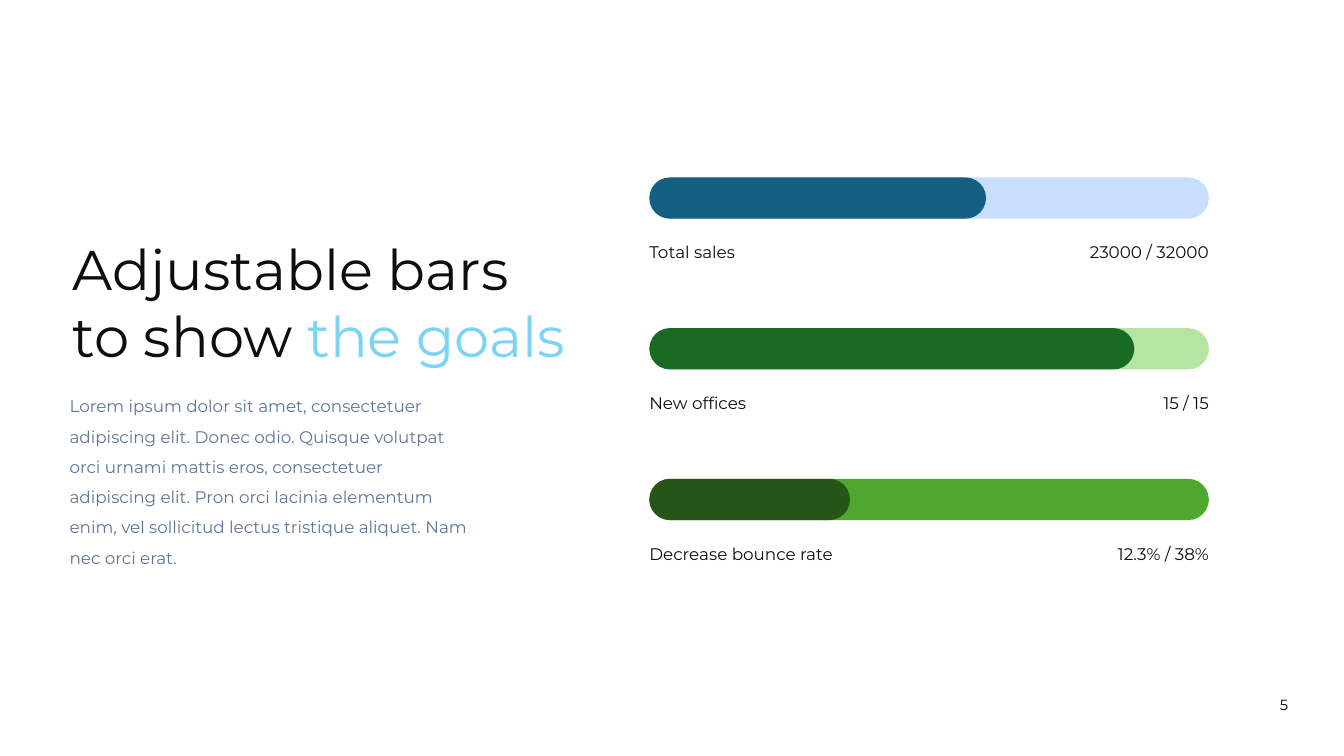
from pptx import Presentation
from pptx.dml.color import RGBColor
from pptx.enum.shapes import MSO_SHAPE
from pptx.enum.text import MSO_ANCHOR, MSO_AUTO_SIZE, PP_ALIGN
from pptx.util import Inches, Pt
from lxml.etree import SubElement
from pptx.oxml.ns import qn

COLORS = {
    "ink": "0D0D0D", "accent": "7BD4F6", "body": "5D7699", "number": "000000",
    "sales track": "C7DEFF", "sales fill": "156082",
    "offices track": "B4E5A2", "offices fill": "196B24",
    "bounce track": "4EA72E", "bounce fill": "275417",
}


def set_frame(box, left, top, width, height, inset=0, anchor=MSO_ANCHOR.TOP):
    box.left, box.top = Inches(left), Inches(top)
    box.width, box.height = Inches(width), Inches(height)
    frame = box.text_frame
    frame.word_wrap = True
    frame.auto_size = MSO_AUTO_SIZE.NONE
    frame.vertical_anchor = anchor
    frame.margin_left = frame.margin_right = Inches(inset)
    frame.margin_top = frame.margin_bottom = Inches(inset)
    return frame


def style(para, size, color, align=PP_ALIGN.LEFT, spacing=1.0):
    para.alignment = align
    para.line_spacing = spacing
    para.space_before = Pt(0)
    para.font.name = "Montserrat"
    para.font.size = Pt(size)
    para.font.color.rgb = RGBColor.from_string(COLORS[color])


deck = Presentation()
deck.slide_width, deck.slide_height = Inches(13.33), Inches(7.5)
page = deck.slides.add_slide(deck.slide_layouts.get_by_name("Title and Content"))

# Title
frame = set_frame(page.shapes.title, 0.69, 2.29, 5.55, 1.4, 0.03, MSO_ANCHOR.MIDDLE)
frame.text = "Adjustable bars\nto show "
for para in frame.paragraphs:
    style(para, 40, "ink")
span = frame.paragraphs[1].add_run()
span.text = "the goals"
span.font.color.rgb = RGBColor.from_string(COLORS["accent"])

# Body text without a bullet
frame = set_frame(page.placeholders[1], 0.69, 3.83, 4.01, 1.48)
frame.text = (
    "Lorem ipsum dolor sit amet, consectetuer adipiscing elit. Donec odio. "
    "Quisque volutpat orci urnami mattis eros, consectetuer adipiscing elit. "
    "Pron orci lacinia elementum enim, vel sollicitud lectus tristique aliquet. "
    "Nam nec orci erat."
)
para = frame.paragraphs[0]
properties = para._p.get_or_add_pPr()
properties.set("marL", "0")
properties.set("indent", "0")
SubElement(properties, qn("a:buNone"))
style(para, 12, "body", spacing=1.5)

# Progress bars with their labels and values
BAR_LEFT, BAR_WIDTH, BAR_HEIGHT = 6.44, 5.55, 0.41
FIRST_TOP, LAST_TOP = 1.76, 4.75
VALUE_WIDTH = 1.94
goals = [
    ("sales", 3.34, "Total sales", "23000 / 32000"),
    ("offices", 4.81, "New offices", "15 / 15"),
    ("bounce", 1.99, "Decrease bounce rate", "12.3% / 38%"),
]
pitch = (LAST_TOP - FIRST_TOP) / (len(goals) - 1)
for index, (goal, done_width, label, value) in enumerate(goals):
    top = FIRST_TOP + index * pitch
    for part, width in (("track", BAR_WIDTH), ("fill", done_width)):
        bar = page.shapes.add_shape(
            MSO_SHAPE.ROUNDED_RECTANGLE, Inches(BAR_LEFT), Inches(top),
            Inches(width), Inches(BAR_HEIGHT))
        bar.adjustments[0] = 0.5
        bar.shadow.inherit = False
        bar.fill.solid()
        bar.fill.fore_color.rgb = RGBColor.from_string(COLORS[f"{goal} {part}"])
        bar.line.fill.background()
    value_left = BAR_LEFT + BAR_WIDTH - VALUE_WIDTH
    for text, left, width, align in (
        (label, BAR_LEFT, 3.33, PP_ALIGN.LEFT),
        (value, value_left, VALUE_WIDTH, PP_ALIGN.RIGHT),
    ):
        box = page.shapes.add_textbox(0, 0, 0, 0)
        frame = set_frame(box, left, top + 0.56, width, 0.25)
        frame.text = text
        style(frame.paragraphs[0], 12, "ink", align, 1.4)

# Page number
box = page.shapes.add_textbox(0, 0, 0, 0)
frame = set_frame(box, 12.41, 6.9, 0.65, 0.29)
frame.text = "5"
style(frame.paragraphs[0], 10.5, "number", PP_ALIGN.CENTER)

deck.save("out.pptx")
